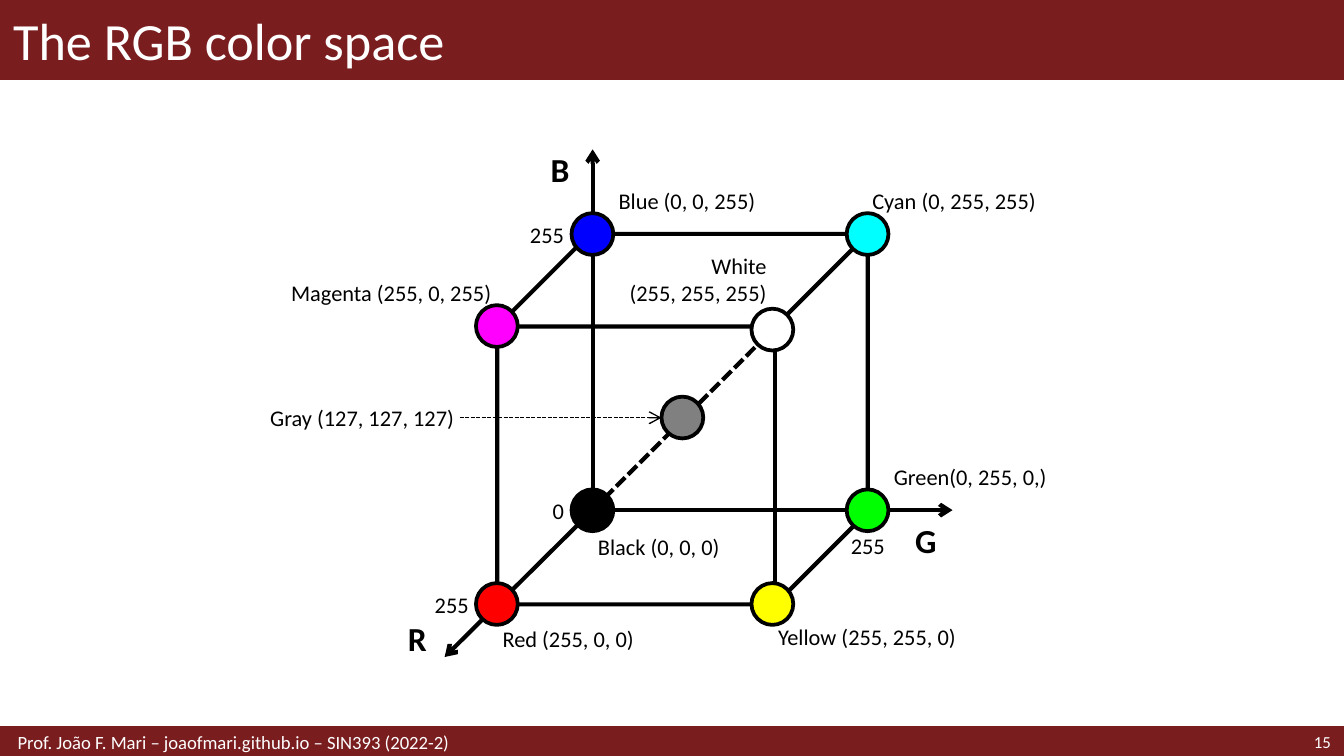
from lxml import etree
from pptx import Presentation
from pptx.dml.color import RGBColor
from pptx.enum.dml import MSO_LINE
from pptx.enum.shapes import MSO_CONNECTOR, MSO_SHAPE
from pptx.enum.text import MSO_ANCHOR, PP_ALIGN
from pptx.oxml.ns import qn
from pptx.util import Pt

LEFT, MID, RIGHT = PP_ALIGN.LEFT, PP_ALIGN.CENTER, PP_ALIGN.RIGHT
TOP, CORE, BASE = MSO_ANCHOR.TOP, MSO_ANCHOR.MIDDLE, MSO_ANCHOR.BOTTOM
RECT, DISC, CUBE = MSO_SHAPE.RECTANGLE, MSO_SHAPE.OVAL, MSO_SHAPE.CUBE
LINE, DASH = MSO_CONNECTOR.STRAIGHT, MSO_LINE.SQUARE_DOT

WIDE, HIGH = 720, 405
HEAD, FOOT = 42.5, 15
WINE, WHITE, BLACK = "791D1F", "FFFFFF", "000000"
SIZE = 22.4
ROW = 21


def color(code):
    return RGBColor.from_string(code)


def apply(item, form):
    for name, value in form.items():
        setattr(item, name, value)


def shape(slide, kind, box, fill, edge, width):
    item = slide.shapes.add_shape(kind, *map(Pt, box))
    item.shadow.inherit = False
    if fill:
        item.fill.solid()
        item.fill.fore_color.rgb = color(fill)
    else:
        item.fill.background()
    item.line.color.rgb = color(edge)
    item.line.width = Pt(width)


def disc(slide, x, y, fill):
    box = (x - SIZE / 2, y - SIZE / 2, SIZE, SIZE)
    shape(slide, DISC, box, fill, BLACK, 2)


def text(slide, words, box, size=12, ink=BLACK, align=LEFT, anchor=CORE,
         bold=False, side=2.83, edge=0):
    frame = slide.shapes.add_textbox(*map(Pt, box)).text_frame
    apply(frame, {
        "word_wrap": True, "vertical_anchor": anchor,
        "margin_left": Pt(side), "margin_right": Pt(side),
        "margin_top": Pt(edge), "margin_bottom": Pt(edge),
    })
    para = frame.paragraphs[0]
    para.text = words
    para.alignment = align
    for run in para.runs:
        apply(run.font, {"name": "Calibri", "size": Pt(size), "bold": bold})
        run.font.color.rgb = color(ink)


def line(slide, start, end, width=2.25, dash=None, arrow=False):
    item = slide.shapes.add_connector(LINE, *map(Pt, start + end))
    item.line.color.rgb = color(BLACK)
    item.line.width = Pt(width)
    if dash:
        item.line.dash_style = dash
    if arrow:
        tail = etree.SubElement(item.line._get_or_add_ln(), qn("a:tailEnd"))
        tail.set("type", "arrow")
    etree.SubElement(item._element.spPr, qn("a:effectLst"))


def bars(slide):
    shape(slide, RECT, (0, 0, WIDE, HEAD), WINE, WINE, 1)
    shape(slide, RECT, (0, HIGH - FOOT, WIDE, FOOT), WINE, WINE, 2)
    text(slide, "The RGB color space", (0, 0, WIDE, HEAD), 28, WHITE, side=7.2)
    text(slide, "15", (638, HIGH - FOOT, 82, FOOT), 9, WHITE, RIGHT, side=7.2)
    text(slide, "Prof. João F. Mari – joaofmari.github.io – SIN393 (2022-2)",
         (0, HIGH - FOOT, 496, FOOT), 10, WHITE, side=9.4)


def axes(slide):
    zero = (317.5, 273.3)
    for end in ((510.3, 273.3), (238.2, 352), (317.5, 80)):
        line(slide, zero, end, arrow=True)
    for name, x, y in (("R", 209.5, 331.5), ("G", 482, 279), ("B", 286, 80)):
        text(slide, name, (x, y, 28, ROW), 18, align=MID, bold=True)
    for mark, x, y in (("0", 277.5, 263), ("255", 277.5, 115.2),
                       ("255", 226.5, 313.2)):
        text(slide, mark, (x, y, 27.5, ROW), align=RIGHT)
    text(slide, "255", (451.2, 285.4, 27.5, 14.2), align=MID, edge=2.83)


def corners(slide):
    shape(slide, CUBE, (266.4, 125.3, 198.5, 198.5), None, BLACK, 2.25)
    line(slide, (317.5, 273.3), (414, 176.5), dash=DASH)
    for x, y, fill in (
        (317.4, 125.4, "0000FF"), (464.8, 125.4, "00FFFF"),
        (413.8, 176.6, WHITE), (464.8, 273.4, "00FF00"),
        (413.8, 323.6, "FFFF00"), (266.2, 323.6, "FF0000"),
        (266.2, 174.7, "FF00FF"), (317.4, 273.4, BLACK),
        (365.6, 223.7, "808080"),
    ):
        disc(slide, x, y, fill)


def labels(slide):
    for words, x, y, wide, align, anchor in (
        ("Blue (0, 0, 255)", 328.5, 93.5, 85, LEFT, BASE),
        ("Cyan (0, 255, 255)", 464.5, 93.5, 113, LEFT, BASE),
        ("Magenta (255, 0, 255)", 153.1, 142.8, 113, RIGHT, BASE),
        ("White\n(255, 255, 255)", 314.5, 142.8, 99, RIGHT, BASE),
        ("Red (255, 0, 0)", 266.4, 335, 124.7, LEFT, TOP),
        ("Yellow (255, 255, 0)", 414, 334, 124.7, LEFT, TOP),
        ("Green(0, 255, 0,)", 476, 241.5, 124.7, LEFT, BASE),
        ("Black (0, 0, 0)", 317.5, 285.4, 113, LEFT, TOP),
        ("Gray (127, 127, 127)", 133.2, 213.3, 113, RIGHT, CORE),
    ):
        text(slide, words, (x, y, wide, ROW), align=align, anchor=anchor)
    line(slide, (246.3, 223.8), (354.4, 223.8), 0.75, DASH, True)


def main():
    deck = Presentation()
    apply(deck, {"slide_width": Pt(WIDE), "slide_height": Pt(HIGH)})
    slide = deck.slides.add_slide(deck.slide_layouts[6])
    for draw in (bars, axes, corners, labels):
        draw(slide)
    deck.save("out.pptx")


if __name__ == "__main__":
    main()
